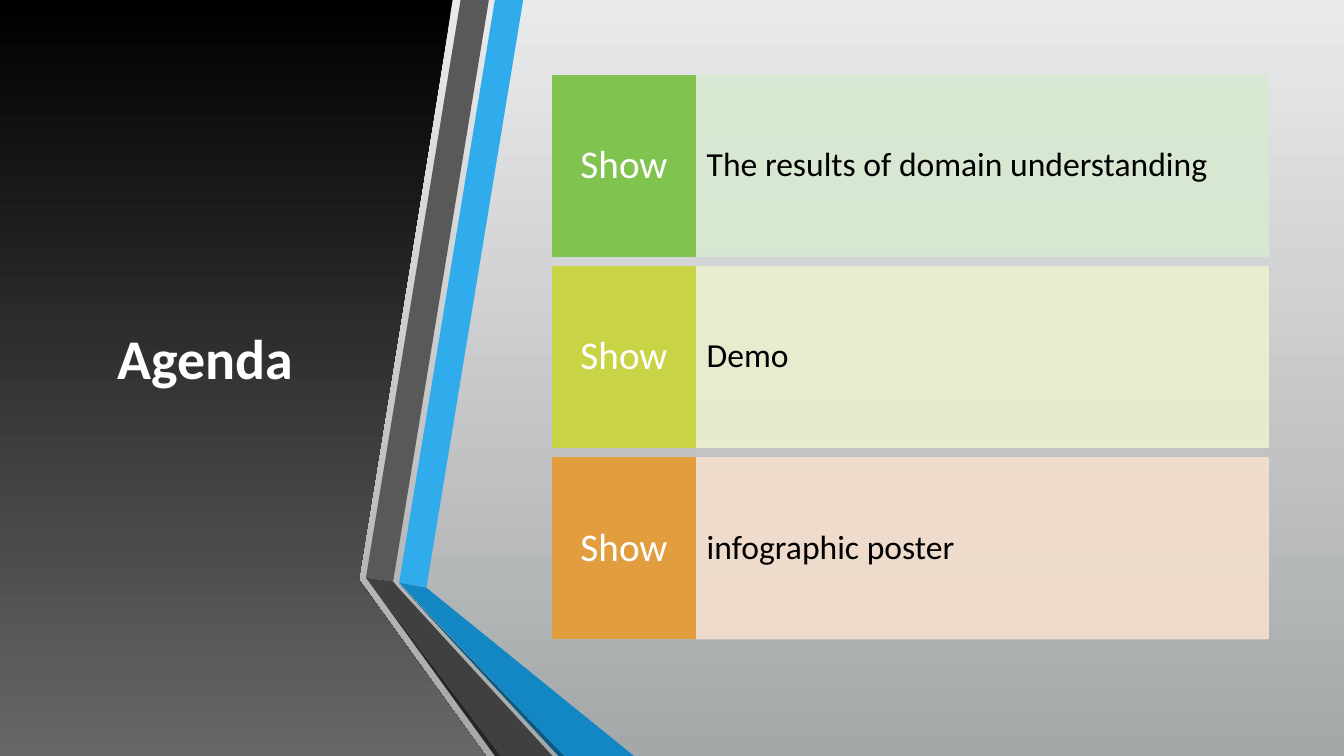
"""Build the Agenda slide: dark title panel, folded ribbons and three agenda cards."""
from lxml.etree import SubElement
from pptx import Presentation
from pptx.dml.color import RGBColor
from pptx.enum.shapes import MSO_SHAPE
from pptx.enum.text import MSO_ANCHOR as ANCHOR, PP_ALIGN as ALIGN
from pptx.oxml.ns import qn
from pptx.util import Pt

FONT = "Calibri"
COLORS = {
    "bg_top": "E9EAEB", "bg_bottom": "A5A8A9",
    "panel_top": "000000", "panel_bottom": "676767",
    "blue": "30ACEC", "blue_fold": "1287C3", "blue_shade": "0C5A82",
    "gray": "595959", "gray_fold": "404040", "gray_shade": "262626",
    "green": "80C34F", "green_pale": "D8E9D0",
    "lime": "C8D346", "lime_pale": "EDEFCF",
    "orange": "E29D3E", "orange_pale": "F4DFCE",
    "white": "FFFFFF", "black": "000000",
}
TITLE = "Agenda"
AGENDA = [
    ("Show", "The results of domain understanding", "green"),
    ("Show", "Demo", "lime"),
    ("Show", "infographic poster", "orange"),
]
PANEL = [(0, 0), (323.3, 0), (256.3, 414), (347, 540), (0, 540)]
RIBBONS = [
    ("blue", [(285.1, 416.2), (304.6, 419.8), (373.7, 0), (353.5, 0)]),
    ("gray", [(349.2, 0), (329, 0), (261.4, 412.6), (280.8, 415.4)]),
    ("gray_shade", [(261.4, 412.6), (353.5, 540), (357.8, 540)]),
    ("blue_shade", [(285.1, 416.9), (398.9, 540), (403.2, 540)]),
    ("blue_fold", [(285.1, 416.2), (403.2, 540), (452.9, 540), (304.6, 419.8)]),
    ("gray_fold", [(394.6, 540), (284.4, 419.8), (280.8, 415.4),
                   (261.4, 412.6), (357.8, 540)]),
]
CARD_LEFT, CARD_TOP, CARD_H, CARD_PITCH = 394.6, 54, 128.9, 136.6
LABEL_W, TEXT_W = 102.2, 409


def rgb(name):
    return RGBColor.from_string(COLORS[name])


def fill_gradient(fill, top, bottom):
    fill.gradient()
    fill.gradient_angle = 270
    for stop, name in zip(fill.gradient_stops, (top, bottom)):
        stop.color.rgb = rgb(name)


def add_outline(s, points):
    (x, y), *rest = [(Pt(px), Pt(py)) for px, py in points]
    builder = s.shapes.build_freeform(x, y)
    builder.add_line_segments(rest, close=True)
    sp = builder.convert_to_shape()
    sp.shadow.inherit = False
    sp.line.fill.background()
    return sp


def style_text(p, text, size, color, align):
    p.text = text
    p.alignment = align
    p.font.name, p.font.size = FONT, Pt(size)
    p.font.color.rgb = rgb(color)


def add_box(s, left, top, width, color, text, size, text_color, align, inset):
    sp = s.shapes.add_shape(MSO_SHAPE.RECTANGLE, Pt(left), Pt(top), Pt(width), Pt(CARD_H))
    sp.shadow.inherit = False
    sp.fill.solid()
    sp.fill.fore_color.rgb = sp.line.color.rgb = rgb(color)
    sp.line.width = Pt(1.25)
    tf = sp.text_frame
    tf.word_wrap = True
    tf.vertical_anchor = ANCHOR.MIDDLE
    tf.margin_left = tf.margin_right = Pt(inset)
    p = tf.paragraphs[0]
    style_text(p, text, size, text_color, align)
    p.line_spacing = 0.9
    return sp


def make_translucent(sp, percent):
    for color in sp.element.spPr.iter(qn("a:srgbClr")):
        SubElement(color, qn("a:alpha"), val=str(percent * 1000))


def main():
    prs = Presentation()
    prs.slide_width, prs.slide_height = Pt(960), Pt(540)
    s = prs.slides.add_slide(prs.slide_layouts[5])
    fill_gradient(s.background.fill, "bg_top", "bg_bottom")

    fill_gradient(add_outline(s, PANEL).fill, "panel_top", "panel_bottom")

    title = s.shapes.title
    title.left, title.top, title.width, title.height = Pt(42.5), Pt(54), Pt(208), Pt(401.8)
    title.text_frame.vertical_anchor = ANCHOR.MIDDLE
    p = title.text_frame.paragraphs[0]
    style_text(p, TITLE, 40, "white", ALIGN.CENTER)
    p.font.bold = True
    title.element.getparent().append(title.element)

    for color, points in RIBBONS:
        sp = add_outline(s, points)
        sp.fill.solid()
        sp.fill.fore_color.rgb = rgb(color)

    for i, (label, text, color) in enumerate(AGENDA):
        top = CARD_TOP + i * CARD_PITCH
        card = add_box(s, CARD_LEFT + LABEL_W, top, TEXT_W, color + "_pale",
                       text, 24, "black", ALIGN.LEFT, 8)
        make_translucent(card, 90)
        add_box(s, CARD_LEFT, top, LABEL_W, color, label, 28, "white", ALIGN.CENTER, 6)

    prs.save("out.pptx")


if __name__ == "__main__":
    main()
